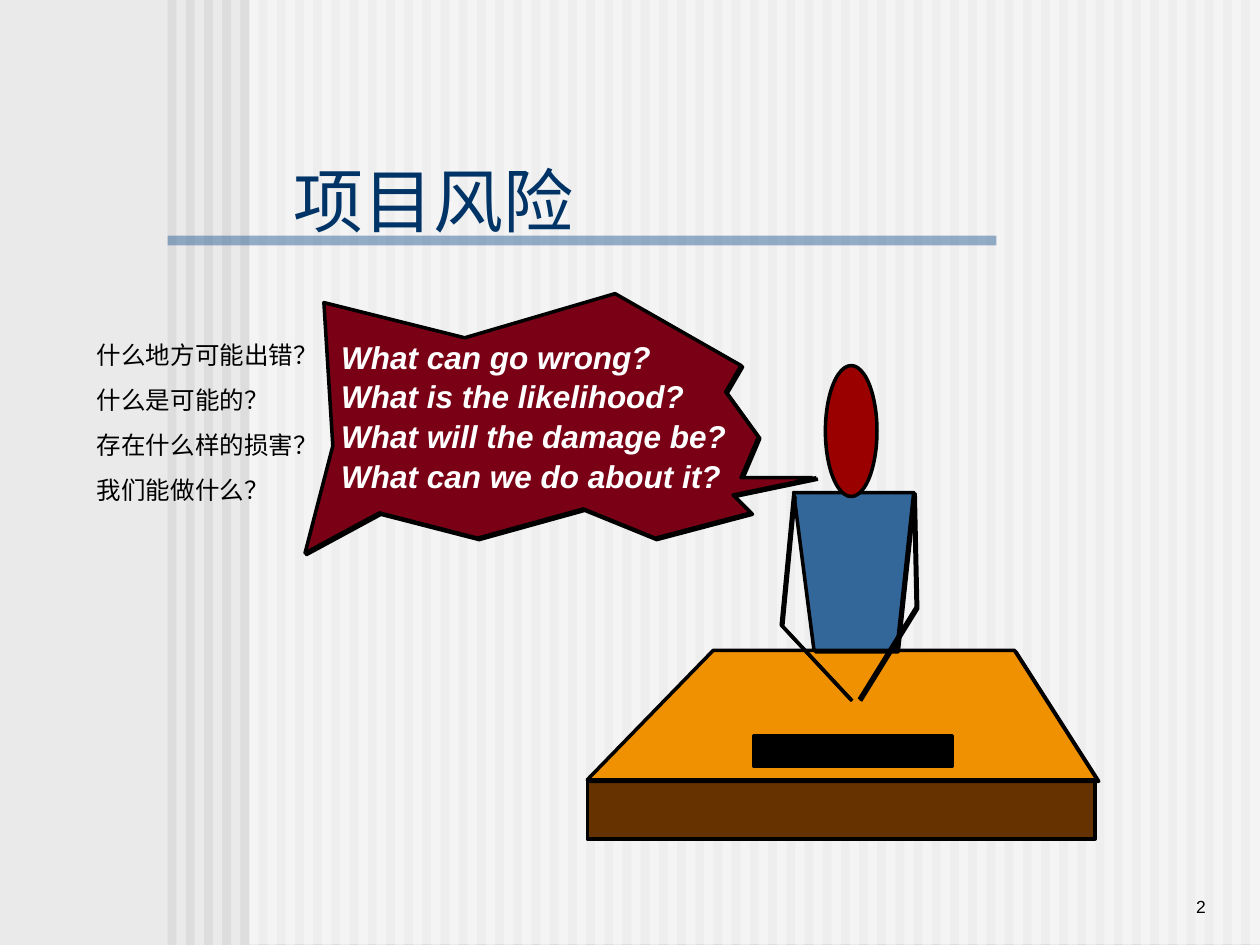
from dataclasses import dataclass

from lxml import etree
from pptx import Presentation
from pptx import util as u
from pptx.dml.color import RGBColor
from pptx.enum import shapes, text
from pptx.oxml import ns


@dataclass(frozen=True)
class Theme:
    font: str = "Arial"
    backdrop: str = "EAEAEA"
    stripe: str = "DDDDDD"
    white: str = "FFFFFF"
    black: str = "000000"
    title: str = "003366"
    blue: str = "336699"
    balloon: str = "790015"
    face: str = "9A0000"
    desk_top: str = "EF9100"
    desk_front: str = "663300"
    title_size: int = 40
    speech_size: int = 18
    list_size: int = 14
    number_size: int = 10
    outline: int = 2


THEME = Theme()
RECT = shapes.MSO_SHAPE.RECTANGLE
OVAL = shapes.MSO_SHAPE.OVAL
ECHO = 0.03  # shift in cm of the second outline behind each drawn figure

QUESTIONS = ["什么地方可能出错？", "什么是可能的？", "存在什么样的损害？", "我们能做什么？"]
SPEECH = ["What can go wrong?", "What is the likelihood?",
          "What will the damage be?", "What can we do about it?"]

BALLOON = [(16.46, 9.63), (14.78, 9.98), (15.14, 10.34), (13.21, 10.85),
           (11.76, 10.26), (9.63, 10.85), (7.65, 10.34), (6.15, 11.15),
           (6.71, 8.99), (6.53, 6.1), (9.37, 6.81), (12.4, 5.92),
           (14.94, 7.37), (14.63, 7.9), (15.29, 8.81), (14.94, 9.63),
           (16.38, 9.63)]
DESK_TOP = [(11.84, 15.72), (14.38, 13.11), (20.45, 13.11), (22.12, 15.72),
            (11.84, 15.72)]
TORSO = [(16.41, 13.11), (16, 9.93), (18.42, 9.93), (18.08, 13.11),
         (16.41, 13.11)]
LEFT_ARM = [(16, 9.98), (15.75, 12.6), (17.15, 14.1)]
RIGHT_ARM = [(18.42, 9.93), (18.47, 12.24), (17.32, 14.1)]


def lengths(*values):
    return [u.Cm(value) for value in values]


def paint(shape, fill=None, outlined=False, opacity=None):
    shape.shadow.inherit = False
    if fill:
        shape.fill.solid()
        shape.fill.fore_color.rgb = RGBColor.from_string(fill)
    else:
        shape.fill.background()
    if opacity:
        color = shape.element.spPr.find(".//" + ns.qn("a:srgbClr"))
        etree.SubElement(color, ns.qn("a:alpha"), val=str(opacity * 1000))
    if outlined:
        shape.line.color.rgb = RGBColor.from_string(THEME.black)
        shape.line.width = u.Pt(THEME.outline)
    else:
        shape.line.fill.background()


def add_preset(parent, kind, place, **look):
    paint(parent.shapes.add_shape(kind, *lengths(*place)), **look)


def add_figure(page, points, fill=None):
    """Draw an outline twice, the back one slightly shifted and unfilled."""
    for shift, color in ((ECHO, None), (0, fill)):
        corners = [lengths(x + shift, y + shift) for x, y in points]
        builder = page.shapes.build_freeform(*corners[0])
        builder.add_line_segments(corners[1:], close=False)
        paint(builder.convert_to_shape(), color, outlined=True)


def write(box, lines, size, color, align=text.PP_ALIGN.LEFT,
          anchor=text.MSO_ANCHOR.TOP, wrap=True, gap=0, **font_format):
    frame = box.text_frame
    frame_format = {"word_wrap": wrap, "vertical_anchor": anchor,
                    "auto_size": text.MSO_AUTO_SIZE.NONE}
    for name, value in frame_format.items():
        setattr(frame, name, value)
    frame.text = "\n".join(lines)
    font_format |= {"name": THEME.font, "size": u.Pt(size)}
    for index, para in enumerate(frame.paragraphs):
        properties = para._p.get_or_add_pPr()
        properties.set("marL", "0")
        properties.set("indent", "0")
        etree.SubElement(properties, ns.qn("a:buNone"))
        para.alignment = align
        para.space_before = u.Pt(gap if index else 0)
        for span in para.runs:
            for name, value in font_format.items():
                setattr(span.font, name, value)
            span.font.color.rgb = RGBColor.from_string(color)


def move(box, *place):
    for name, value in zip(("left", "top", "width", "height"), lengths(*place)):
        setattr(box, name, value)
    return box


def add_backdrop(page):
    page.background.fill.solid()
    page.background.fill.fore_color.rgb = RGBColor.from_string(THEME.backdrop)
    group = page.shapes.add_group_shape()
    first, last, count = 3.38, 25.02, 60
    pitch = (last - first) / (count - 1)
    for index in range(count):
        add_preset(group, RECT, (first + index * pitch, 0, 0.18, 19.05),
                   fill=THEME.stripe)
    add_preset(group, RECT, (5.03, 0, 20.37, 19.03), fill=THEME.white, opacity=50)
    add_preset(group, RECT, (3.38, 4.75, 16.71, 0.2), fill=THEME.blue, opacity=50)
    # Behind the placeholders: the first two children of the tree are properties
    group.element.getparent().insert(2, group.element)


def add_speaker(page):
    add_figure(page, BALLOON, THEME.balloon)
    add_preset(page, RECT, (11.84, 15.72, 10.24, 1.19),
               fill=THEME.desk_front, outlined=True)
    add_figure(page, DESK_TOP, THEME.desk_top)
    add_figure(page, TORSO, THEME.blue)
    add_figure(page, LEFT_ARM)
    add_figure(page, RIGHT_ARM)
    add_preset(page, OVAL, (16.64, 7.37, 1.04, 2.64),
               fill=THEME.face, outlined=True)
    add_preset(page, RECT, (15.19, 14.83, 4.01, 0.61),
               fill=THEME.black, outlined=True)


def add_speech(page):
    top, pitch = 6.68, 0.8
    for index, line in enumerate(SPEECH):
        box = page.shapes.add_textbox(*lengths(6.63, top + index * pitch, 8.2, 1.02))
        write(box, [line], THEME.speech_size, THEME.white,
              wrap=False, bold=True, italic=True)


def main():
    deck = Presentation()
    deck.slide_width, deck.slide_height = lengths(25.4, 19.05)
    page = deck.slides.add_slide(deck.slide_layouts[1])
    add_backdrop(page)
    title = move(page.shapes.title, 5.66, 3.61, 14.86, 0.84)
    write(title, ["项目风险"], THEME.title_size, THEME.title,
          anchor=text.MSO_ANCHOR.MIDDLE)
    add_speaker(page)
    add_speech(page)
    questions = move(page.placeholders[1], 1.7, 6.73, 5, 3.56)
    write(questions, QUESTIONS, THEME.list_size, THEME.black, gap=8.8)
    number = page.shapes.add_textbox(*lengths(20.96, 17.35, 3.6, 1.27))
    write(number, ["2"], THEME.number_size, THEME.black,
          align=text.PP_ALIGN.RIGHT, anchor=text.MSO_ANCHOR.BOTTOM)
    deck.save("out.pptx")


if __name__ == "__main__":
    main()
